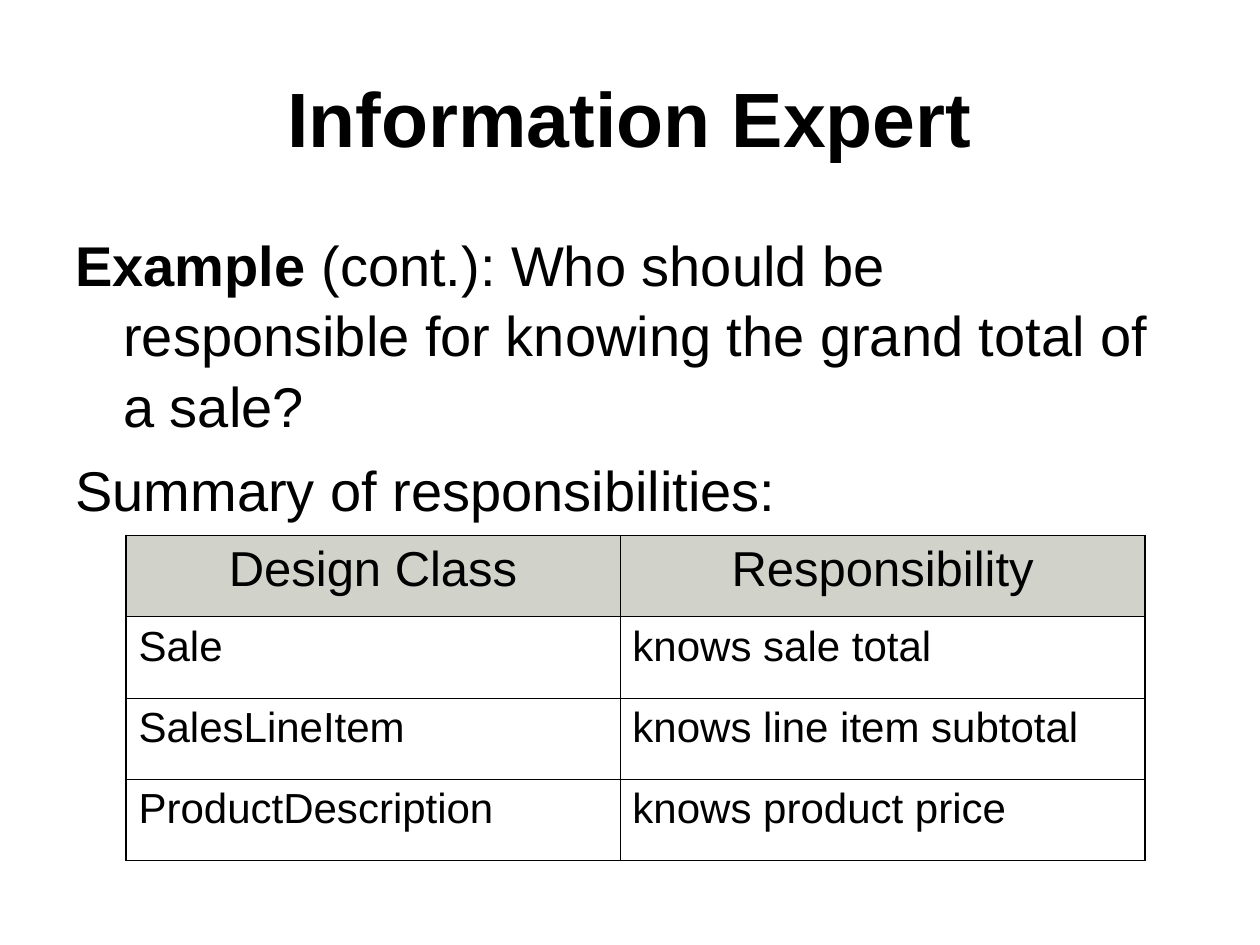
from lxml import etree
from pptx import Presentation, util as u
from pptx.dml.color import RGBColor
from pptx.enum import text
from pptx.oxml import ns

COLORS = {"ink": "000000", "header": "D1D3CB", "paper": "FFFFFF"}
FONT = "Arial"
OUTER, INNER = 1.08, 0.45
ROWS = [
    ("Design Class", "Responsibility"),
    ("Sale", "knows sale total"),
    ("SalesLineItem", "knows line item subtotal"),
    ("ProductDescription", "knows product price"),
]


def rgb(name):
    """Return the named colour."""
    return RGBColor.from_string(COLORS[name])


def style_font(font, size, bold=False):
    """Apply the slide's typeface at a size in points."""
    font.name, font.size, font.bold = FONT, u.Pt(size), bold
    font.color.rgb = rgb("ink")


def add_text(s, left, top, width, height, anchor):
    """Add a wrapping text box and return its text frame."""
    tf = s.shapes.add_textbox(*map(u.Inches, (left, top, width, height))).text_frame
    tf.word_wrap, tf.vertical_anchor = True, anchor
    return tf


def add_title(s, title):
    """Add the centred bold title."""
    tf = add_text(s, 0.5, 0.3, 9, 1.25, text.MSO_ANCHOR.MIDDLE)
    p = tf.paragraphs[0]
    p.text, p.alignment = title, text.PP_ALIGN.CENTER
    style_font(p.runs[0].font, 44, True)


def add_body(s, paragraphs):
    """Add hanging paragraphs, each given as (wording, bold) runs."""
    tf = add_text(s, 0.5, 1.75, 9, 2.45, text.MSO_ANCHOR.TOP)
    for i, runs in enumerate(paragraphs):
        p = tf.add_paragraph() if i else tf.paragraphs[0]
        p.line_spacing = 1.05
        p.space_before = u.Pt(8 if i else 0)
        pPr = p._p.get_or_add_pPr()
        pPr.set("marL", str(u.Inches(0.38)))
        pPr.set("indent", str(-u.Inches(0.38)))
        for wording, bold in runs:
            r = p.add_run()
            r.text = wording
            style_font(r.font, 32, bold)


def set_borders(cell, widths):
    """Draw the cell's borders from a dict of side to width in points."""
    tcPr = cell._tc.get_or_add_tcPr()
    for side, width in widths.items():
        ln = etree.SubElement(tcPr, ns.qn(f"a:ln{side}"), w=str(u.Pt(width)))
        fill = etree.SubElement(ln, ns.qn("a:solidFill"))
        etree.SubElement(fill, ns.qn("a:srgbClr"), val=COLORS["ink"])


def add_grid(s, rows):
    """Add the table with a shaded header and a heavier outer frame."""
    last_row, last_col = len(rows) - 1, len(rows[0]) - 1
    table = s.shapes.add_table(len(rows), len(rows[0]), u.Inches(1), u.Inches(4.25),
                               u.Inches(8.09), u.Inches(2.58)).table
    for column, width in zip(table.columns, (3.92, 4.17)):
        column.width = u.Inches(width)
    for i, row in enumerate(rows):
        for j, wording in enumerate(row):
            cell = table.cell(i, j)
            edges = {"L": j == 0, "R": j == last_col, "T": i == 0, "B": i == last_row}
            set_borders(cell, {k: OUTER if v else INNER for k, v in edges.items()})
            cell.fill.solid()
            cell.fill.fore_color.rgb = rgb("paper" if i else "header")
            p = cell.text_frame.paragraphs[0]
            p.text = wording
            p.alignment = text.PP_ALIGN.LEFT if i else text.PP_ALIGN.CENTER
            style_font(p.runs[0].font, 24 if i else 28)


def main():
    """Build and save the slide."""
    prs = Presentation()
    prs.slide_width, prs.slide_height = u.Inches(10), u.Inches(7.5)
    s = prs.slides.add_slide(prs.slide_layouts[6])
    add_title(s, "Information Expert")
    add_body(s, [
        [("Example", True),
         (" (cont.): Who should be responsible for knowing the grand total of a sale?", False)],
        [("Summary of responsibilities:", False)],
    ])
    add_grid(s, ROWS)
    prs.save("out.pptx")


if __name__ == "__main__":
    main()
